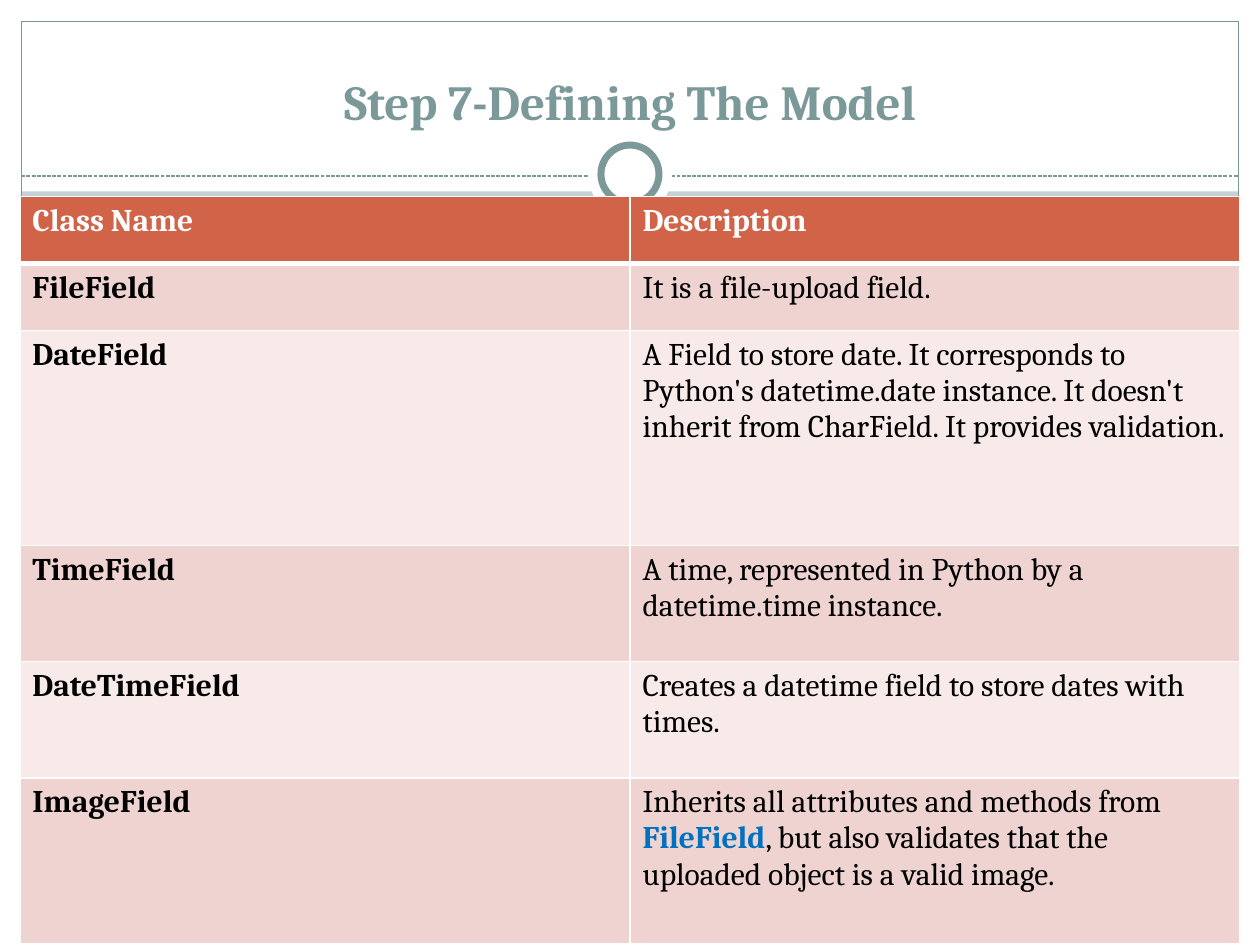
from lxml import etree
from pptx import Presentation
from pptx.dml.color import RGBColor
from pptx.enum.dml import MSO_LINE
from pptx.enum.shapes import MSO_CONNECTOR, MSO_SHAPE
from pptx.enum.text import MSO_ANCHOR, MSO_AUTO_SIZE, PP_ALIGN
from pptx.oxml.ns import qn
from pptx.util import Cm, Pt

RECTANGLE, OVAL = MSO_SHAPE.RECTANGLE, MSO_SHAPE.OVAL
STRAIGHT, DASHED = MSO_CONNECTOR.STRAIGHT, MSO_LINE.SQUARE_DOT
BOTTOM, CENTER, NO_FIT = MSO_ANCHOR.BOTTOM, PP_ALIGN.CENTER, MSO_AUTO_SIZE.NONE

COLORS = {
    "background": "C5D1D7", "white": "FFFFFF", "black": "000000",
    "teal": "7C999A", "footer": "8CADAE", "header": "D16349",
    "odd_row": "EED3D0", "even_row": "F7EAE9", "link": "0070C0",
}
WIDTH, HEIGHT, MARGIN = 25.4, 19.05, 0.43
FONT = "Cambria"
COLUMN_COUNT = 2
ROW_HEIGHTS = [1.35, 1.35, 4.34, 2.34, 2.34, 3.35]
HEADINGS = ["Class Name", "Description"]
FIELDS = [
    ("FileField", ["It is a file-upload field."]),
    ("DateField", ["A Field to store date. It corresponds to Python's datetime.date instance. "
                   "It doesn't inherit from CharField. It provides validation."]),
    ("TimeField", ["A time, represented in Python by a datetime.time instance."]),
    ("DateTimeField", ["Creates a datetime field to store dates with times."]),
    ("ImageField", ["Inherits all attributes and methods from ", "FileField",
                    ", but also validates that the uploaded object is a valid image."]),
]


def color(name):
    """Return the named colour."""
    return RGBColor.from_string(COLORS[name])


def apply_format(target, values):
    """Set each attribute in values on the target."""
    for name, value in values.items():
        setattr(target, name, value)


def add_run(paragraph, text, size, color_name, bold):
    """Add a formatted run to a paragraph."""
    run = paragraph.add_run()
    run.text = text
    apply_format(run.font, {"name": FONT, "size": Pt(size), "bold": bold})
    run.font.color.rgb = color(color_name)


def add_panel(slide, kind, box, fill=None, line=None, line_width=0.75):
    """Add a preset shape with an optional fill and outline."""
    shape = slide.shapes.add_shape(kind, *map(Cm, box))
    shape.shadow.inherit = False
    for part, name in ((shape.fill, fill), (shape.line.fill, line)):
        if name:
            part.solid()
            part.fore_color.rgb = color(name)
        else:
            part.background()
    if line:
        shape.line.width = Pt(line_width)


def add_frame(slide, box, header_height):
    """Draw the white margins, footer bar and outline around the box."""
    left, top, width, height = box
    right, bottom = left + width, top + height
    margins = [
        (0, bottom, WIDTH, HEIGHT - bottom),
        (0, 0, WIDTH, header_height),
        (0, 0, left, HEIGHT),
        (right, 0, WIDTH - right, HEIGHT),
    ]
    for margin in margins:
        add_panel(slide, RECTANGLE, margin, "white")
    add_panel(slide, RECTANGLE, (left, bottom - 0.86, width, 0.86), "footer")
    add_panel(slide, RECTANGLE, box, line="teal")


def add_divider(slide, box):
    """Draw a dashed line along the top of the box and a ring at its middle."""
    left, top, width, height = box
    line = slide.shapes.add_connector(STRAIGHT, Cm(left), Cm(top), Cm(left + width), Cm(top))
    line.line.color.rgb = color("teal")
    apply_format(line.line, {"width": Pt(0.75), "dash_style": DASHED})
    etree.SubElement(line._element.spPr, qn("a:effectLst"))
    center_x, center_y = left + width / 2, top - 0.04
    for diameter, outline in ((height, None), (1.17, "teal")):
        ring = (center_x - diameter / 2, center_y - diameter / 2, diameter, diameter)
        add_panel(slide, OVAL, ring, "white", outline, 4)


def place_title(slide, box, text):
    """Place the title placeholder in the box, in front of the frame."""
    title = slide.shapes.title
    title._element.getparent().append(title._element)
    apply_format(title, dict(zip(("left", "top", "width", "height"), map(Cm, box))))
    apply_format(title.text_frame, {
        "vertical_anchor": BOTTOM, "word_wrap": True, "auto_size": NO_FIT,
    })
    paragraph = title.text_frame.paragraphs[0]
    paragraph.alignment = CENTER
    add_run(paragraph, text, 28, "teal", True)


def set_borders(cell, top, bottom):
    """Give a cell white borders, with top and bottom widths in points."""
    properties = cell._tc.get_or_add_tcPr()
    sides = {"lnL": 1, "lnR": 1, "lnT": top, "lnB": bottom}
    for index, (side, width) in enumerate(sides.items()):
        border = etree.Element(qn(f"a:{side}"), w=str(Pt(width)))
        fill = etree.SubElement(border, qn("a:solidFill"))
        etree.SubElement(fill, qn("a:srgbClr"), val=COLORS["white"])
        properties.insert(index, border)


def fill_cell(cell, parts, fill, text_color, bold):
    """Fill a cell with text parts, every second one highlighted."""
    cell.fill.solid()
    cell.fill.fore_color.rgb = color(fill)
    paragraph = cell.text_frame.paragraphs[0]
    for index, part in enumerate(parts):
        highlighted = index % 2 == 1
        add_run(paragraph, part, 18, "link" if highlighted else text_color, bold or highlighted)


def add_field_table(slide, box):
    """Add the table of field classes inside the box."""
    left, top, width, height = map(Cm, box)
    table = slide.shapes.add_table(
        len(ROW_HEIGHTS), COLUMN_COUNT, left, top, width, height).table
    table.horz_banding = False
    for column in table.columns:
        column.width = Cm(box[2] / COLUMN_COUNT)
    rows = [[[heading] for heading in HEADINGS]]
    rows += [[[name], description] for name, description in FIELDS]
    for row_index, (row, row_height) in enumerate(zip(rows, ROW_HEIGHTS)):
        table.rows[row_index].height = Cm(row_height)
        is_header = row_index == 0
        band = "odd_row" if row_index % 2 else "even_row"
        for column_index, parts in enumerate(row):
            cell = table.cell(row_index, column_index)
            fill_cell(cell, parts, "header" if is_header else band,
                      "white" if is_header else "black", is_header or column_index == 0)
            set_borders(cell, 3 if row_index == 1 else 1, 3 if is_header else 1)


def build_slide(presentation):
    """Build the model definition slide."""
    slide = presentation.slides.add_slide(presentation.slide_layouts[5])
    slide.background.fill.solid()
    slide.background.fill.fore_color.rgb = color("background")
    inner_width = WIDTH - 2 * MARGIN
    add_frame(slide, (MARGIN, MARGIN, inner_width, HEIGHT - 2 * MARGIN), 3.86)
    add_divider(slide, (MARGIN, 3.55, inner_width, 1.7))
    place_title(slide, (0.85, 0.64, 23.7, 2.11), "Step 7-Defining The Model")
    add_field_table(slide, (0.4, 3.96, 24.6, sum(ROW_HEIGHTS)))


def main():
    """Create and save the presentation."""
    presentation = Presentation()
    apply_format(presentation, {"slide_width": Cm(WIDTH), "slide_height": Cm(HEIGHT)})
    build_slide(presentation)
    presentation.save("out.pptx")


if __name__ == "__main__":
    main()
